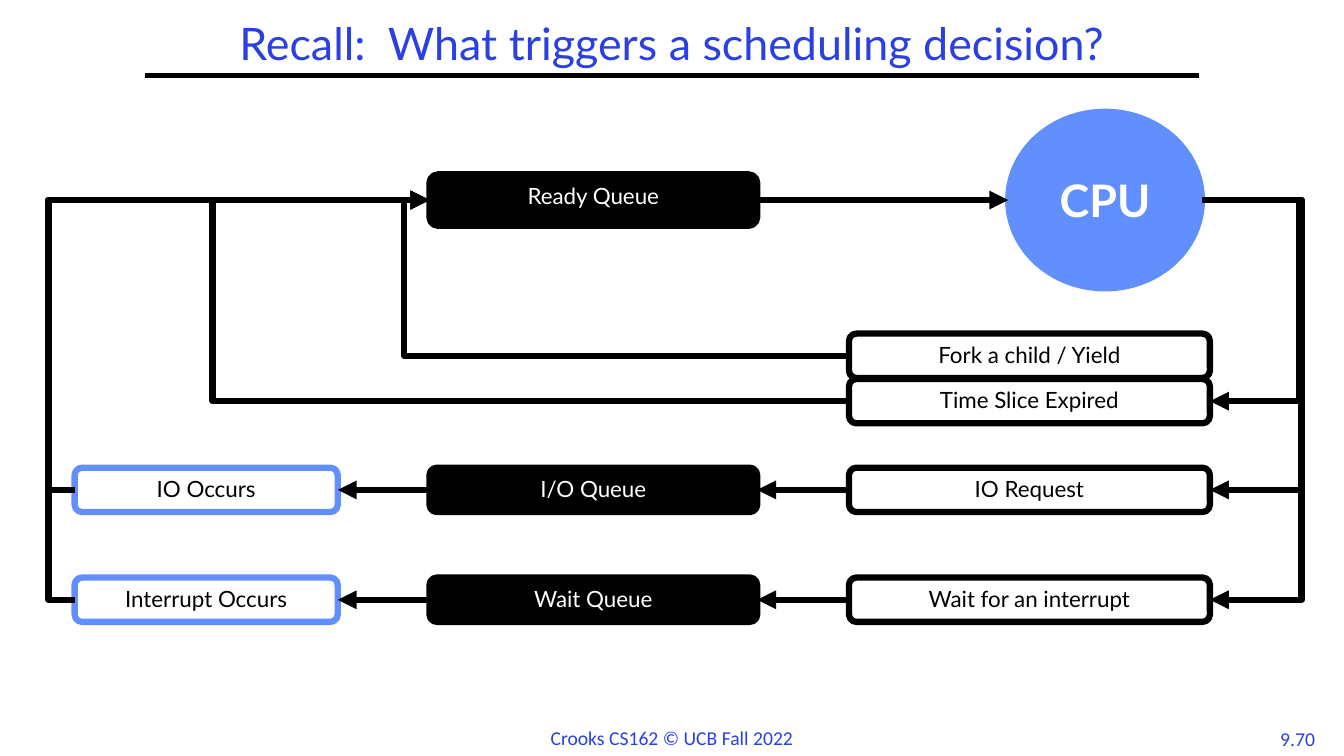
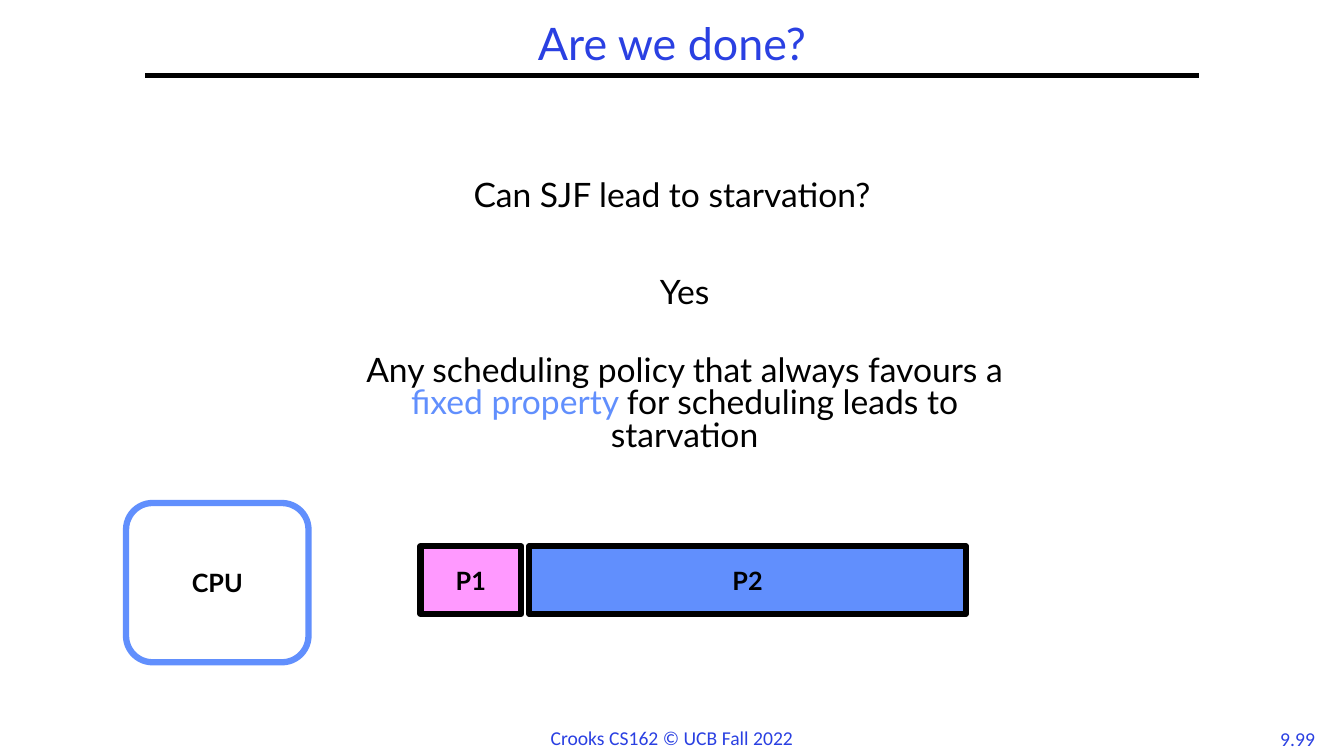
from lxml.etree import SubElement
from pptx import Presentation
from pptx.dml.color import RGBColor
from pptx.enum.shapes import MSO_CONNECTOR, MSO_SHAPE
from pptx.enum.text import MSO_ANCHOR, PP_ALIGN
from pptx.oxml.ns import qn
from pptx.util import Inches, Pt

TITLE_BLUE = RGBColor(0x2A, 0x40, 0xE2)
SKY_BLUE = RGBColor(0x61, 0x8F, 0xFD)
PINK = RGBColor(0xFF, 0x99, 0xFF)
BLACK = RGBColor(0, 0, 0)
WHITE = RGBColor(0xFF, 0xFF, 0xFF)
TEXT_FONT = "Lato"
FOOTER_FONT = "Calibri"
SLIDE_WIDTH, SLIDE_HEIGHT = 13.33, 7.5
HEAVY_LINE = 4.5
LEFT_SIDE, RIGHT_SIDE = 1, 3


def write_text(shape, paragraphs, size=24, color=BLACK, font=TEXT_FONT, bold=False,
               anchor=MSO_ANCHOR.TOP, line_spacing=None, gap=0, wrap=True):
    """Fill a shape with centred paragraphs, each a list of (text, colour or None)."""
    if isinstance(paragraphs, str):
        paragraphs = [[(paragraphs, None)]]
    frame = shape.text_frame
    frame.word_wrap = wrap
    frame.vertical_anchor = anchor
    for index, runs in enumerate(paragraphs):
        paragraph = frame.add_paragraph() if index else frame.paragraphs[0]
        paragraph.alignment = PP_ALIGN.CENTER
        if line_spacing:
            paragraph.line_spacing = line_spacing
        if index:
            paragraph.space_before = Pt(gap)
        for text, run_color in runs:
            run = paragraph.add_run()
            run.text = text
            run.font.size = Pt(size)
            run.font.name = font
            run.font.bold = bold
            run.font.color.rgb = run_color or color


def add_text(slide, box, paragraphs, **text_format):
    """Place a text box."""
    shape = slide.shapes.add_textbox(*map(Inches, box))
    write_text(shape, paragraphs, **text_format)


def add_block(slide, kind, box, text, fill, line, **text_format):
    """Place a filled, heavily outlined shape with a label."""
    shape = slide.shapes.add_shape(kind, *map(Inches, box))
    shape.shadow.inherit = False
    shape.fill.solid()
    shape.fill.fore_color.rgb = fill
    shape.line.color.rgb = line
    shape.line.width = Pt(HEAVY_LINE)
    write_text(shape, text, **text_format)
    return shape


def add_line(slide, start, end, width=HEAVY_LINE, arrow=True, bend=None):
    """Draw a line from start to end; bend is the x of an elbow's upright part."""
    kind = MSO_CONNECTOR.STRAIGHT if bend is None else MSO_CONNECTOR.ELBOW
    line = slide.shapes.add_connector(kind, *map(Inches, (*start, *end)))
    line.line.color.rgb = BLACK
    line.line.width = Pt(width)
    properties = line._element.spPr
    if arrow:
        SubElement(properties.find(qn("a:ln")), qn("a:tailEnd"), type="triangle")
    SubElement(properties, qn("a:effectLst"))
    if bend is not None:
        share = round((bend - start[0]) / (end[0] - start[0]) * 100000)
        guides = properties.find(qn("a:prstGeom")).get_or_add_avLst()
        SubElement(guides, qn("a:gd"), name="adj1", fmla=f"val {share}")
    return line


def add_frame(presentation, title, number):
    """Add a blank slide with title, rule and footer."""
    slide = presentation.slides.add_slide(presentation.slide_layouts[6])
    footer = {"size": 14, "color": TITLE_BLUE, "font": FOOTER_FONT, "wrap": False}
    add_text(slide, (12.58, 7.16, 0.58, 0.33), number, **footer)
    add_line(slide, (1.44, 0.75), (11.89, 0.75), width=3, arrow=False)
    add_text(slide, (5.35, 7.15, 2.63, 0.34), "Crooks CS162 © UCB Fall 2022", **footer)
    add_text(slide, (0, 0.17, SLIDE_WIDTH, 0.58), title, size=32, color=TITLE_BLUE,
             anchor=MSO_ANCHOR.MIDDLE, line_spacing=0.9)
    return slide


def add_step(slide, box, text, fill=WHITE, line=BLACK, color=BLACK):
    """Place one rounded step of the scheduling cycle."""
    return add_block(slide, MSO_SHAPE.ROUNDED_RECTANGLE, box, text, fill, line,
                     size=16, color=color)


def add_queue(slide, box, text):
    """Place a black queue."""
    return add_step(slide, box, text, fill=BLACK, color=WHITE)


def add_scheduling_cycle(slide, left, top):
    """Draw the paths between the processor and the queues."""
    step_height = 0.44
    event_left, event_width = left + 0.26, 2.61
    queue_left, queue_width = left + 3.78, 3.25
    cause_left, cause_width = left + 7.94, 3.58
    cause_right = cause_left + cause_width
    cpu_left, cpu_width, cpu_height = left + 9.52, 1.92, 1.75
    main_y = top + cpu_height / 2
    cpu_right = (cpu_left + cpu_width, main_y)
    ready_left = (queue_left, main_y)

    add_block(slide, MSO_SHAPE.OVAL, (cpu_left, top, cpu_width, cpu_height), "CPU",
              SKY_BLUE, SKY_BLUE, size=32, color=WHITE, bold=True,
              anchor=MSO_ANCHOR.MIDDLE)
    ready = add_queue(slide, (queue_left, main_y - 0.255, queue_width, 0.51), "Ready Queue")
    arrow = add_line(slide, (queue_left + queue_width, main_y), (cpu_left, main_y))
    arrow.begin_connect(ready, RIGHT_SIDE)

    for offset, text, bend in ((2.65, "Time Slice Expired", 1.63),
                               (2.2, "Fork a child / Yield", 3.53)):
        add_step(slide, (cause_left, top + offset, cause_width, step_height), text)
        middle = top + offset + step_height / 2
        add_line(slide, (cause_left, middle), ready_left, bend=left + bend)
    add_line(slide, cpu_right, (cause_right, top + 2.65 + step_height / 2),
             bend=left + 12.41)

    rows = ((3.53, "IO Request", "I/O Queue", "IO Occurs"),
            (4.62, "Wait for an interrupt", "Wait Queue", "Interrupt Occurs"))
    for offset, cause_text, queue_text, event_text in rows:
        y = top + offset
        middle = y + step_height / 2
        cause = add_step(slide, (cause_left, y, cause_width, step_height), cause_text)
        queue = add_queue(slide, (queue_left, y, queue_width, step_height), queue_text)
        event = add_step(slide, (event_left, y, event_width, step_height), event_text,
                         line=SKY_BLUE)
        for source, target in ((cause, queue), (queue, event)):
            arrow = add_line(slide, (cause_left, middle), (queue_left, middle))
            arrow.begin_connect(source, LEFT_SIDE)
            arrow.end_connect(target, RIGHT_SIDE)
        add_line(slide, cpu_right, (cause_right, middle), bend=left + 12.43)
        add_line(slide, (event_left, middle), ready_left, bend=left)


def add_processes(slide, left, top):
    """Draw the processor with two jobs waiting beside it."""
    label = {"size": 18, "bold": True, "anchor": MSO_ANCHOR.MIDDLE}
    add_block(slide, MSO_SHAPE.ROUNDED_RECTANGLE, (left, top, 1.81, 1.58), "CPU",
              WHITE, SKY_BLUE, **label)
    for text, offset, width, fill in (("P2", 4, 4.33, SKY_BLUE), ("P1", 2.92, 1, PINK)):
        add_block(slide, MSO_SHAPE.RECTANGLE, (left + offset, top + 0.43, width, 0.67),
                  text, fill, BLACK, **label)


def add_question(slide, left, top, width):
    """Write the question and, below it, the answer."""
    add_text(slide, (left, top, width, 0.58), "Can SJF lead to starvation?",
             line_spacing=0.8)
    answer = [[("Yes", None)],
              [("Any scheduling policy that always favours a ", None),
               ("fixed property ", SKY_BLUE),
               ("for scheduling leads to starvation", None)]]
    add_text(slide, (left + 3.33, top + 0.97, 6.92, 0.58), answer,
             line_spacing=0.8, gap=32.5)


def main():
    """Build and save the presentation."""
    presentation = Presentation()
    presentation.slide_width = Inches(SLIDE_WIDTH)
    presentation.slide_height = Inches(SLIDE_HEIGHT)
    slide = add_frame(presentation, "Recall:  What triggers a scheduling decision?", "9.70")
    add_scheduling_cycle(slide, 0.48, 1.11)
    slide = add_frame(presentation, "Are we done?", "9.99")
    add_question(slide, 0, 1.75, SLIDE_WIDTH)
    add_processes(slide, 1.25, 4.99)
    presentation.save("out.pptx")


if __name__ == "__main__":
    main()
